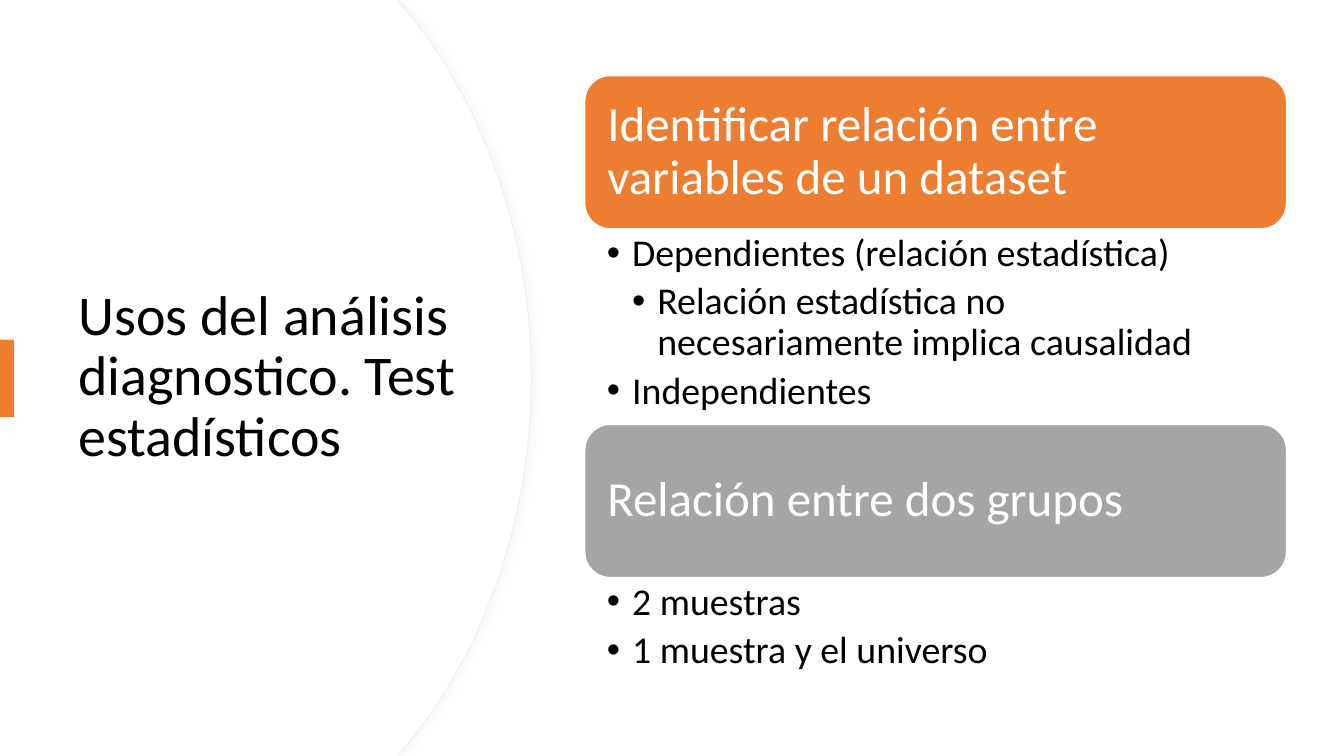
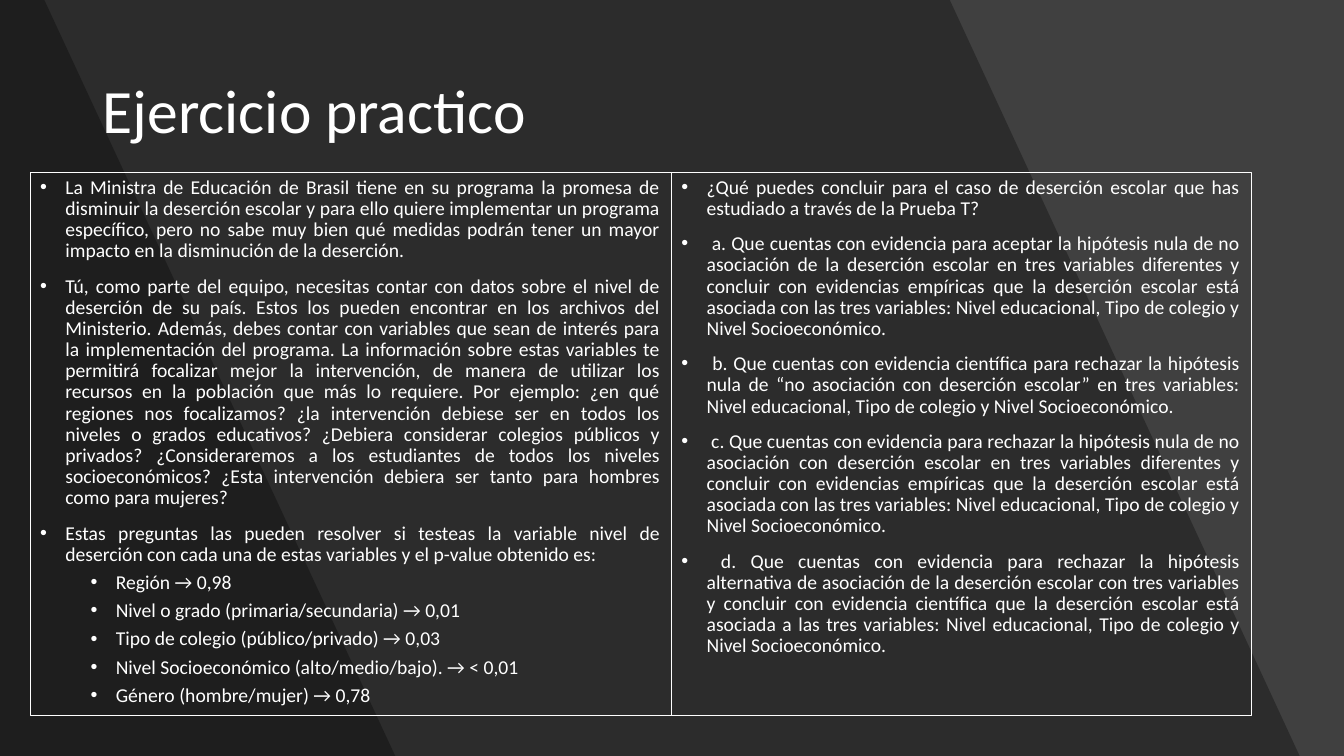
from lxml import etree
from pptx import Presentation
from pptx.dml.color import RGBColor
from pptx.enum.shapes import MSO_SHAPE
from pptx.enum.text import MSO_ANCHOR, MSO_AUTO_SIZE, PP_ALIGN
from pptx.oxml import parse_xml
from pptx.oxml.ns import nsdecls, qn
from pptx.util import Inches, Pt

LEFT, JUSTIFY = PP_ALIGN.LEFT, PP_ALIGN.JUSTIFY
TOP, MIDDLE = MSO_ANCHOR.TOP, MSO_ANCHOR.MIDDLE
RECT, ROUND_RECT = MSO_SHAPE.RECTANGLE, MSO_SHAPE.ROUNDED_RECTANGLE
NO_AUTOFIT = MSO_AUTO_SIZE.NONE

FONT = "Calibri"
COLORS = {
    "white": "FFFFFF",
    "black": "000000",
    "orange": "ED7D31",
    "grey": "A5A5A5",
    "dark": "404040",
    "edge": "EFEFEF",
    "shadow": "D9D9D9",
}
SLIDE_W, SLIDE_H = 13.33, 7.5
LINE_SPACING = 0.9
INDENT = 0.25

USES = [
    ("Identificar relación entre variables de un dataset", "orange", 1.94, [
        (0, "Dependientes (relación estadística)"),
        (1, "Relación estadística no necesariamente implica causalidad"),
        (0, "Independientes"),
    ]),
    ("Relación entre dos grupos", "grey", 1.03, [
        (0, "2 muestras"),
        (0, "1 muestra y el universo"),
    ]),
]

CASE = [
    (0, "La Ministra de Educación de Brasil tiene en su programa la promesa de disminuir la "
        "deserción escolar y para ello quiere implementar un programa específico, pero no sabe "
        "muy bien qué medidas podrán tener un mayor impacto en la disminución de la deserción."),
    (0, "Tú, como parte del equipo, necesitas contar con datos sobre el nivel de deserción de su "
        "país. Estos los pueden encontrar en los archivos del Ministerio. Además, debes contar "
        "con variables que sean de interés para la implementación del programa. La información "
        "sobre estas variables te permitirá focalizar mejor la intervención, de manera de "
        "utilizar los recursos en la población que más lo requiere. Por ejemplo: ¿en qué "
        "regiones nos focalizamos? ¿la intervención debiese ser en todos los niveles o grados "
        "educativos? ¿Debiera considerar colegios públicos y privados? ¿Consideraremos a los "
        "estudiantes de todos los niveles socioeconómicos? ¿Esta intervención debiera ser tanto "
        "para hombres como para mujeres?"),
    (0, "Estas preguntas las pueden resolver si testeas la variable nivel de deserción con cada "
        "una de estas variables y el p-value obtenido es:"),
    (1, "Región → 0,98"),
    (1, "Nivel o grado (primaria/secundaria) → 0,01"),
    (1, "Tipo de colegio (público/privado) → 0,03"),
    (1, "Nivel Socioeconómico (alto/medio/bajo). → < 0,01"),
    (1, "Género (hombre/mujer) → 0,78"),
]

ANSWERS = [
    (0, "¿Qué puedes concluir para el caso de deserción escolar que has estudiado a través de la "
        "Prueba T?"),
    (0, " a. Que cuentas con evidencia para aceptar la hipótesis nula de no asociación de la "
        "deserción escolar en tres variables diferentes y concluir con evidencias empíricas que "
        "la deserción escolar está asociada con las tres variables: Nivel educacional, Tipo de "
        "colegio y Nivel Socioeconómico."),
    (0, " b. Que cuentas con evidencia científica para rechazar la hipótesis nula de “no "
        "asociación con deserción escolar” en tres variables: Nivel educacional, Tipo de colegio "
        "y Nivel Socioeconómico."),
    (0, " c. Que cuentas con evidencia para rechazar la hipótesis nula de no asociación con "
        "deserción escolar en tres variables diferentes y concluir con evidencias empíricas que "
        "la deserción escolar está asociada con las tres variables: Nivel educacional, Tipo de "
        "colegio y Nivel Socioeconómico."),
    (0, " d. Que cuentas con evidencia para rechazar la hipótesis alternativa de asociación de "
        "la deserción escolar con tres variables y concluir con evidencia científica que la "
        "deserción escolar está asociada a las tres variables: Nivel educacional, Tipo de "
        "colegio y Nivel Socioeconómico."),
]


def rgb(name):
    return RGBColor.from_string(COLORS[name])


def paint(sp, fill, line=None, width=0.75):
    sp.shadow.inherit = False
    sp.fill.solid()
    sp.fill.fore_color.rgb = rgb(fill)
    if line:
        sp.line.color.rgb = rgb(line)
        sp.line.width = Pt(width)
    else:
        sp.line.fill.background()


def style_paragraph(p, size, color, align=LEFT):
    p.alignment = align
    p.line_spacing = LINE_SPACING
    for r in p.runs:
        r.font.name = FONT
        r.font.size = Pt(size)
        r.font.color.rgb = rgb(color)


def set_frame(sp, anchor, insets):
    """Wrap the text; insets are left, top, right, bottom in inches."""
    tf = sp.text_frame
    tf.word_wrap = True
    tf.auto_size = NO_AUTOFIT
    tf.vertical_anchor = anchor
    tf.margin_left, tf.margin_top, tf.margin_right, tf.margin_bottom = map(Inches, insets)
    return tf


def add_bullet(p, left):
    pPr = p._p.get_or_add_pPr()
    pPr.set("marL", str(Inches(left)))
    pPr.set("indent", str(-Inches(INDENT)))
    etree.SubElement(pPr, qn("a:buFont")).set("typeface", "Arial")
    etree.SubElement(pPr, qn("a:buChar")).set("char", "•")


def fill_bullets(tf, items, size, color, lefts, align=LEFT, before=(0, 0), after=0):
    """Write (level, text) items; lefts and before hold one value a level."""
    for i, (level, text) in enumerate(items):
        p = tf.paragraphs[0] if i == 0 else tf.add_paragraph()
        p.text = text
        p.level = level
        add_bullet(p, lefts[level])
        style_paragraph(p, size, color, align)
        p.space_before = Pt(before[level] if i else 0)
        p.space_after = Pt(after)


def add_polygon(slide, points, fill, line=None):
    corners = [(Inches(x), Inches(y)) for x, y in points]
    builder = slide.shapes.build_freeform(*corners[0], scale=1.0)
    builder.add_line_segments(corners[1:], close=True)
    sp = builder.convert_to_shape()
    paint(sp, fill, line)
    return sp


def add_title_slide(prs, background):
    slide = prs.slides.add_slide(prs.slide_layouts[5])
    slide.background.fill.solid()
    slide.background.fill.fore_color.rgb = rgb(background)
    return slide


def place_title(slide, text, box, size, color):
    """Format the title and bring it in front of the backdrop."""
    title = slide.shapes.title
    title.left, title.top, title.width, title.height = map(Inches, box)
    tf = set_frame(title, MIDDLE, (0.1, 0.05, 0.1, 0.05))
    tf.text = text
    style_paragraph(tf.paragraphs[0], size, color)
    title.element.getparent().append(title.element)


def bend_segment(segment, controls):
    """Turn a straight segment into a cubic curve with two control points."""
    segment.tag = qn("a:cubicBezTo")
    for i, (x, y) in enumerate(controls):
        pt = etree.Element(qn("a:pt"), x=str(Inches(x)), y=str(Inches(y)))
        segment.insert(i, pt)


def add_curved_panel(slide, right, line=None):
    """Panel from the slide's left edge, bulging out to right."""
    bulge_start, far, near = right - 1.26, right, right - 0.48
    points = [(0, 0), (3.94, 0), (bulge_start, 0.08), (right, SLIDE_H / 2),
              (bulge_start, SLIDE_H - 0.08), (3.94, SLIDE_H), (0, SLIDE_H)]
    sp = add_polygon(slide, points, "white", line)
    segments = list(sp._element.iter(qn("a:lnTo")))
    bend_segment(segments[2], [(near, 1.02), (far, 2.32)])
    bend_segment(segments[3], [(far, SLIDE_H - 2.32), (near, SLIDE_H - 1.02)])
    return sp


def add_soft_shadow(sp):
    spPr = sp._element.spPr
    spPr.remove(spPr.find(qn("a:effectLst")))
    spPr.append(parse_xml(
        f'<a:effectLst {nsdecls("a")}><a:outerShdw blurRad="{Pt(7)}" dist="{Pt(3)}" dir="0">'
        f'<a:srgbClr val="{COLORS["shadow"]}"><a:alpha val="20000"/></a:srgbClr>'
        '</a:outerShdw></a:effectLst>'))


def add_use_list(slide, left, top, width, card_h=1.52):
    """Stack a heading card and its bullets for each use."""
    for heading, color, list_h, items in USES:
        card = slide.shapes.add_shape(
            ROUND_RECT, Inches(left), Inches(top), Inches(width), Inches(card_h))
        paint(card, color, "white", 1)
        tf = set_frame(card, MIDDLE, (0.15,) * 4)
        tf.text = heading
        style_paragraph(tf.paragraphs[0], 35, "white")
        top += card_h
        box = slide.shapes.add_textbox(
            Inches(left), Inches(top), Inches(width), Inches(list_h))
        tf = set_frame(box, TOP, (0.22, 0.05, 0.27, 0.05))
        fill_bullets(tf, items, 27, "black", (INDENT, 2 * INDENT), after=5.4)
        top += list_h


def add_text_panel(slide, left, top, width, height, items):
    box = slide.shapes.add_textbox(Inches(left), Inches(top), Inches(width), Inches(height))
    box.line.color.rgb = rgb("white")
    box.line.width = Pt(0.75)
    tf = set_frame(box, TOP, (0.1, 0.05, 0.11, 0.05))
    fill_bullets(tf, items, 14, "white", (INDENT, 3 * INDENT), JUSTIFY, before=(10, 5))


def add_slanted_shade(slide, top_right, bottom_right):
    points = [(0, 0), (top_right, 0), (bottom_right, SLIDE_H), (0, SLIDE_H)]
    sp = add_polygon(slide, points, "black")
    color = sp._element.spPr.find(qn("a:solidFill"))[0]
    etree.SubElement(color, qn("a:alpha")).set("val", "30000")


def build_uses_slide(prs):
    slide = add_title_slide(prs, "white")
    add_soft_shadow(add_curved_panel(slide, 5.27, "edge"))
    add_curved_panel(slide, 5.26)
    place_title(slide, "Usos del análisis diagnostico. Test estadísticos",
                (0.68, 1.27, 3.94, 4.95), 40, "black")
    marker = slide.shapes.add_shape(RECT, 0, Inches(3.37), Inches(0.14), Inches(0.77))
    paint(marker, "orange")
    add_use_list(slide, 5.8, 0.75, 6.96)


def build_exercise_slide(prs):
    slide = add_title_slide(prs, "dark")
    add_slanted_shade(slide, 9.42, 12.89)
    add_slanted_shade(slide, 0.44, 3.92)
    place_title(slide, "Ejercicio practico", (0.92, 0.4, 11.5, 1.45), 44, "white")
    left, top, height = 0.3, 1.71, 5.39
    for width, items in ((6.36, CASE), (5.75, ANSWERS)):
        add_text_panel(slide, left, top, width, height, items)
        left += width


def main():
    prs = Presentation()
    prs.slide_width, prs.slide_height = Inches(SLIDE_W), Inches(SLIDE_H)
    build_uses_slide(prs)
    build_exercise_slide(prs)
    prs.save("out.pptx")


if __name__ == "__main__":
    main()
